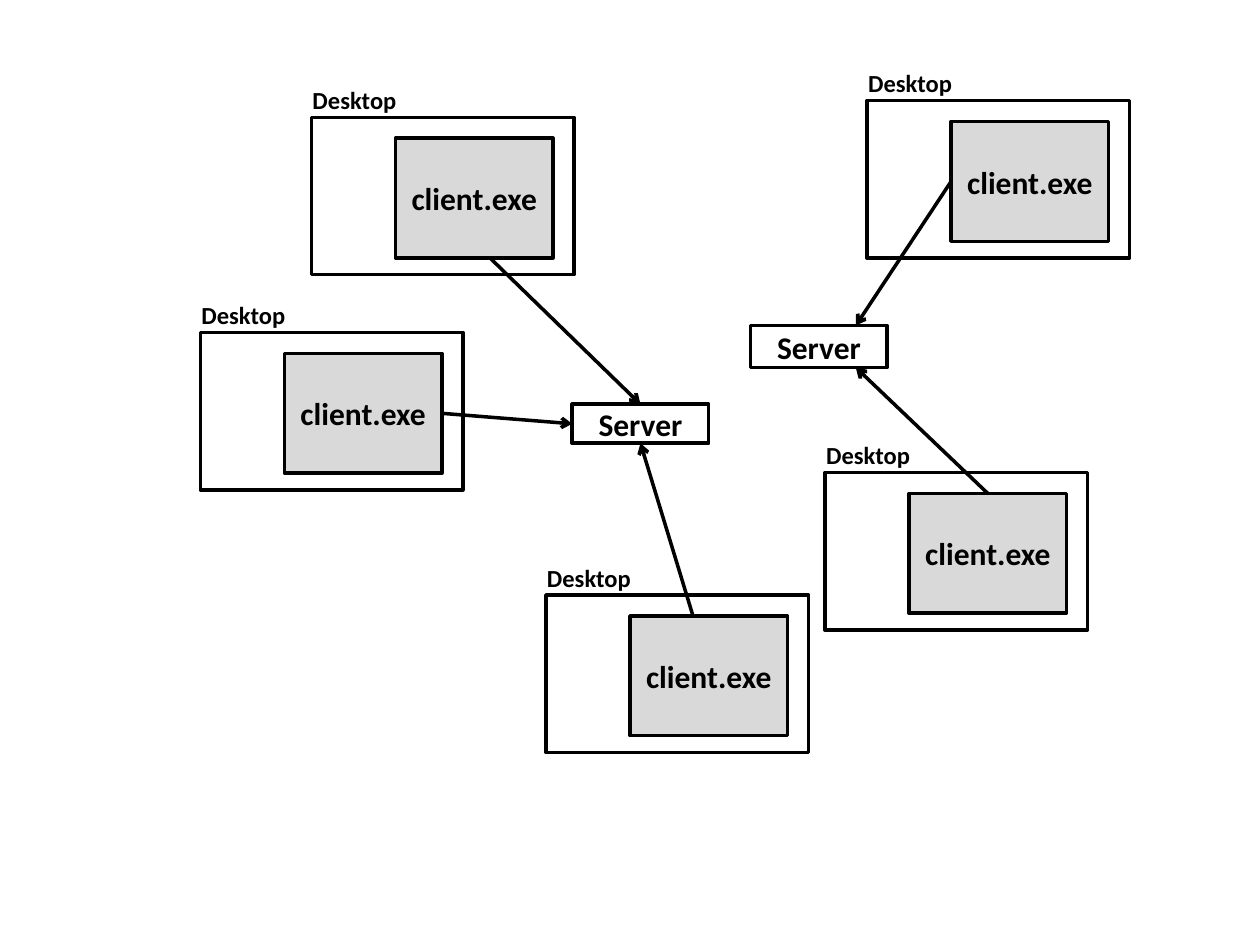
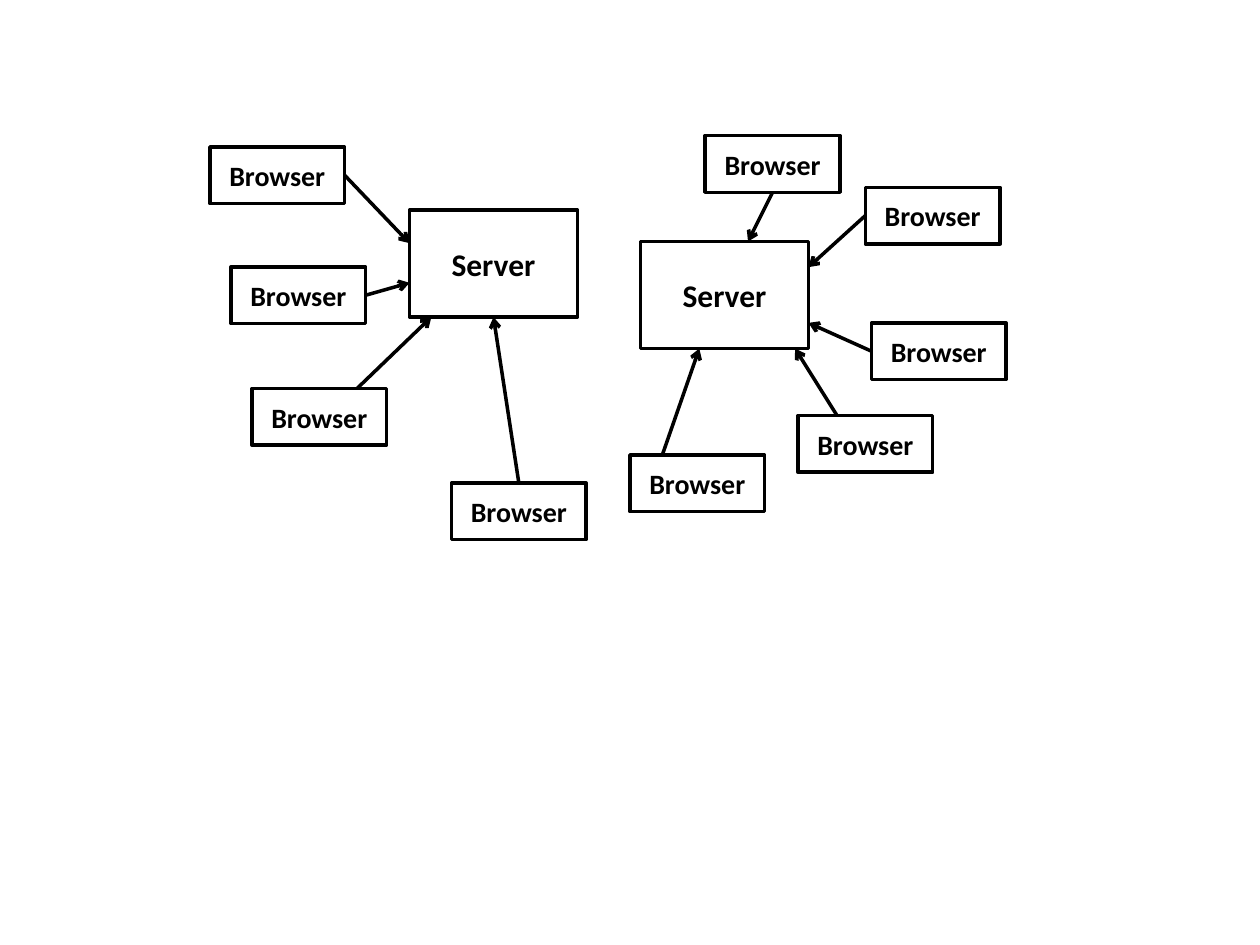
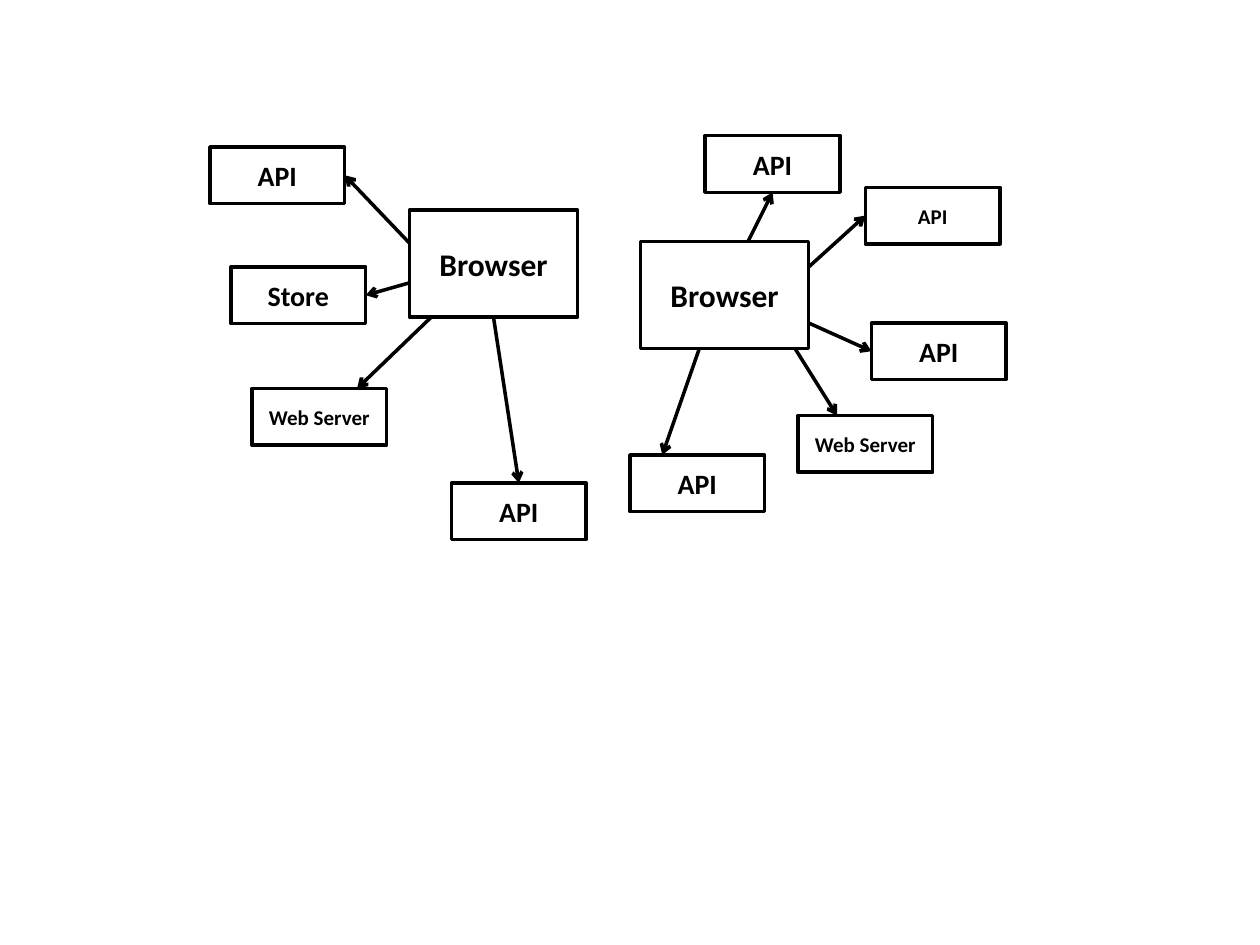
"""Builds three slides of client and server diagrams."""
from lxml import etree
from pptx import Presentation
from pptx.dml.color import RGBColor
from pptx.enum.shapes import MSO_CONNECTOR, MSO_SHAPE
from pptx.enum.text import MSO_ANCHOR, MSO_AUTO_SIZE, PP_ALIGN
from pptx.oxml.ns import qn
from pptx.util import Pt

RECTANGLE = MSO_SHAPE.RECTANGLE
STRAIGHT = MSO_CONNECTOR.STRAIGHT
MIDDLE = MSO_ANCHOR.MIDDLE
CENTER = PP_ALIGN.CENTER
FIT_SHAPE = MSO_AUTO_SIZE.SHAPE_TO_FIT_TEXT

BLACK = RGBColor(0x00, 0x00, 0x00)
GRAY = RGBColor(0xD9, 0xD9, 0xD9)
FONT = "Calibri"
LINE_WIDTH = 2

FRAME_SIZE = (150, 90)
CLIENT_OFFSET, CLIENT_SIZE = (48, 12), (90, 68.4)
LABEL_OFFSET, LABEL_SIZE = (-6.5, -22), (62.6, 24.3)
HUB_SIZE = (96, 61.2)
NODE_SIZE = (77, 32.4)

SERVERS = [(429, 186, 78, 24), (327, 231, 78, 22.3)]

# Each entry: frame corner, server index, client anchor, server anchor.
DESKTOPS = [
    ((114.5, 190), 1, (1, 0.5), (0, 0.5)),
    ((178, 67), 1, (0.6, 1), (0.5, 0)),
    ((312, 340), 1, (0.4, 0), (0.5, 1)),
    ((495.5, 57.5), 0, (0, 0.5), (0.77, 0)),
    ((471.5, 270), 0, (0.5, 0), (0.77, 1)),
]

HUBS = [(234, 120), (366, 138)]

# Each entry: node corner, hub index, node anchor, hub anchor.
NODES = [
    ((120, 84), 0, (1, 0.5), (0, 0.31)),
    ((132, 152.5), 0, (1, 0.5), (0, 0.68)),
    ((144, 222), 0, (0.78, 0), (0.13, 1)),
    ((258, 276), 0, (0.5, 0), (0.5, 1)),
    ((360, 260), 1, (0.24, 0), (0.35, 1)),
    ((456, 237.5), 1, (0.29, 0), (0.92, 1)),
    ((498, 184.5), 1, (0, 0.5), (1, 0.76)),
    ((494.5, 107), 1, (0, 0.5), (1, 0.24)),
    ((403, 77.5), 1, (0.5, 1), (0.64, 0)),
]

BROWSER_LABELS = [("Browser", 16)] * len(NODES)
SERVICE_LABELS = [
    ("API", 16), ("Store", 16), ("Web Server", 12), ("API", 16), ("API", 16),
    ("Web Server", 12), ("API", 16), ("API", 12), ("API", 16),
]


def shifted(corner, offset):
    return corner[0] + offset[0], corner[1] + offset[1]


def anchor_point(box, anchor):
    left, top, width, height = box
    return left + width * anchor[0], top + height * anchor[1]


def write(shape, text, size):
    paragraph = shape.text_frame.paragraphs[0]
    paragraph.text = text
    font = paragraph.font
    font.name, font.size, font.bold = FONT, Pt(size), True
    font.color.rgb = BLACK
    return paragraph


def add_box(shapes, box, text="", size=18, fill=None):
    shape = shapes.add_shape(RECTANGLE, *map(Pt, box))
    shape.shadow.inherit = False
    shape.line.color.rgb = BLACK
    shape.line.width = Pt(LINE_WIDTH)
    if fill is None:
        shape.fill.background()
    else:
        shape.fill.solid()
        shape.fill.fore_color.rgb = fill
    if text:
        shape.text_frame.vertical_anchor = MIDDLE
        write(shape, text, size).alignment = CENTER


def add_arrow(shapes, start, end):
    connector = shapes.add_connector(STRAIGHT, *map(Pt, start + end))
    connector.line.color.rgb = BLACK
    connector.line.width = Pt(LINE_WIDTH)
    etree.SubElement(connector.get_or_add_ln(), qn("a:tailEnd"), type="arrow")
    etree.SubElement(connector.element.spPr, qn("a:effectLst"))


def add_desktop(shapes, corner, client):
    group = shapes.add_group_shape().shapes
    add_box(group, client, "client.exe", fill=GRAY)
    add_box(group, corner + FRAME_SIZE)
    label = group.add_textbox(*map(Pt, shifted(corner, LABEL_OFFSET) + LABEL_SIZE))
    label.text_frame.word_wrap = False
    label.text_frame.auto_size = FIT_SHAPE
    write(label, "Desktop", 14)


def build_desktops(shapes):
    for server in SERVERS:
        add_box(shapes, server, "Server")
    for corner, server, client_anchor, server_anchor in DESKTOPS:
        client = shifted(corner, CLIENT_OFFSET) + CLIENT_SIZE
        add_desktop(shapes, corner, client)
        add_arrow(shapes, anchor_point(client, client_anchor),
                  anchor_point(SERVERS[server], server_anchor))


def build_hubs(shapes, hub_text, labels, outward):
    for hub in HUBS:
        add_box(shapes, hub + HUB_SIZE, hub_text)
    for (corner, hub, node_anchor, hub_anchor), (text, size) in zip(NODES, labels):
        node = corner + NODE_SIZE
        add_box(shapes, node, text, size)
        ends = [anchor_point(node, node_anchor),
                anchor_point(HUBS[hub] + HUB_SIZE, hub_anchor)]
        if outward:
            ends.reverse()
        add_arrow(shapes, *ends)


def main():
    presentation = Presentation()
    presentation.slide_width, presentation.slide_height = Pt(720), Pt(540)
    blank = presentation.slide_layouts[6]
    desktops, browsers, services = (
        presentation.slides.add_slide(blank).shapes for _ in range(3))
    build_desktops(desktops)
    build_hubs(browsers, "Server", BROWSER_LABELS, outward=False)
    build_hubs(services, "Browser", SERVICE_LABELS, outward=True)
    presentation.save("out.pptx")


if __name__ == "__main__":
    main()
